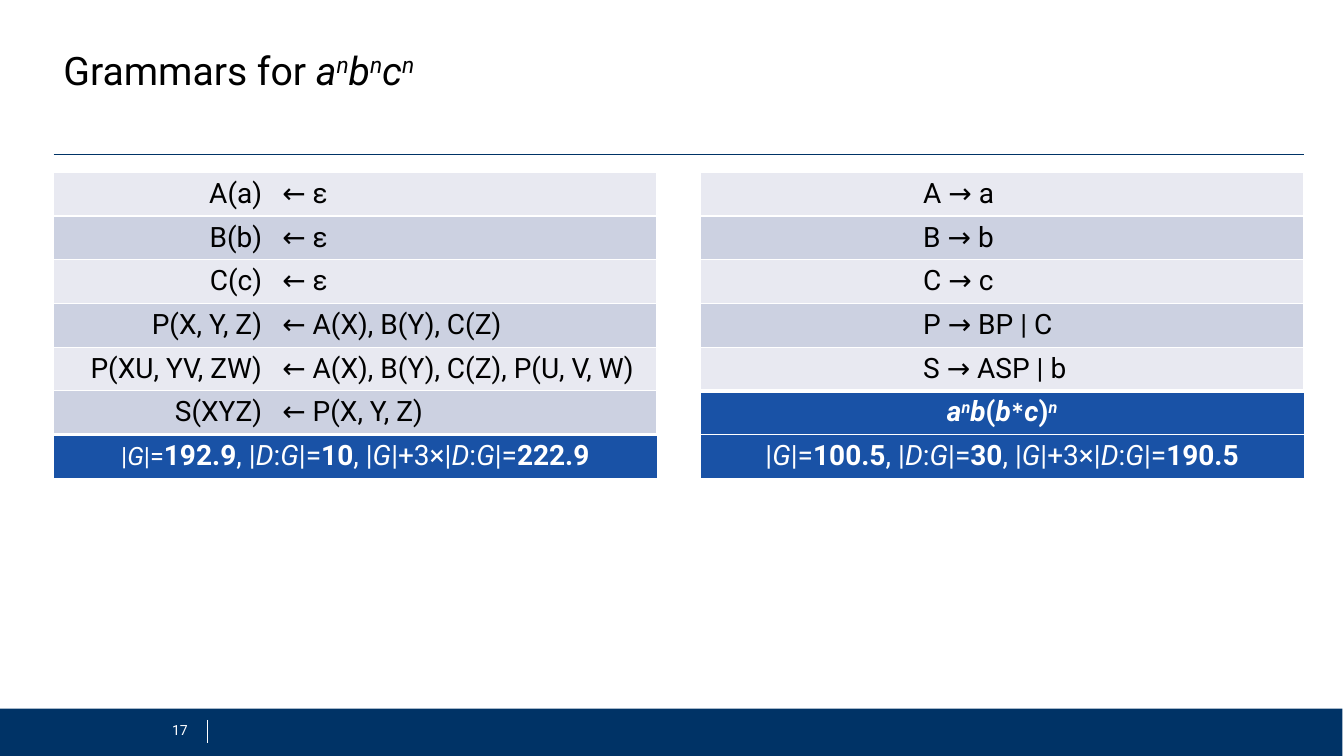
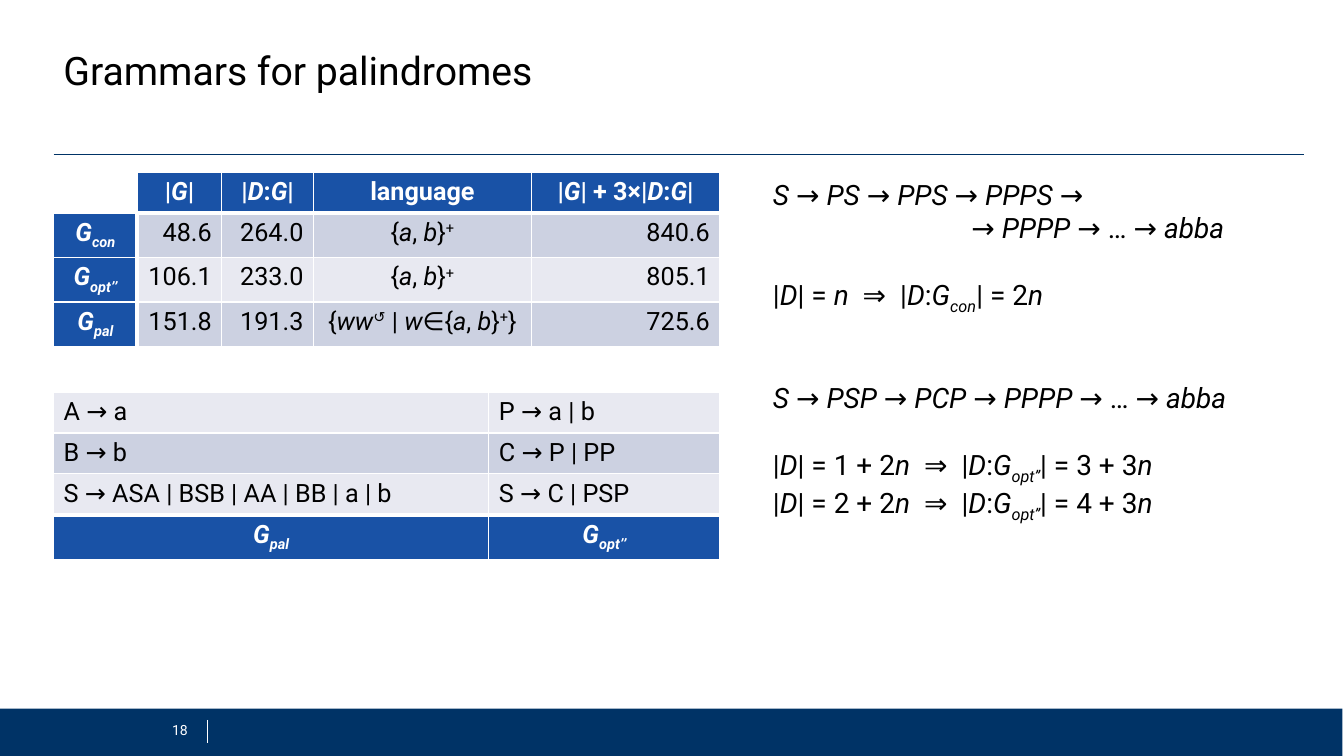
from collections import namedtuple
from itertools import groupby

from pptx import Presentation, dml, util as u
from pptx.dml import color
from pptx.enum import shapes, text
from pptx.oxml import parse_xml
from pptx.oxml.ns import nsdecls

Box = namedtuple("Box", "left top width height")

FONT = "Roboto"
NAVY, BLUE, WHITE, BLACK = "003366", "1952A6", "FFFFFF", "000000"
BANDS = ("E8E9F1", "CCD1E1")
LEFT, CENTER, RIGHT = text.PP_ALIGN.LEFT, text.PP_ALIGN.CENTER, text.PP_ALIGN.RIGHT
MARKS = {"*": "bold", "_": "italic", "^": "raised", "~": "lowered", "`": "small"}
ROW_HEIGHT = 1.03
MARGIN, CONTENT_TOP, CONTENT_WIDTH = 1.35, 4.34, 31.52
SLIDE = Box(0, 0, 33.87, 19.05)
TITLE = Box(MARGIN, 1.14, CONTENT_WIDTH, 1.4)
FOOTER = Box(0, 17.86, 33.83, 1.19)


def rgb(code):
    """Turn a hex string into a colour."""
    return color.RGBColor.from_string(code)


def cm(box):
    """Turn a box in centimetres into four lengths."""
    return [u.Cm(length) for length in box]


def add_spans(para, markup, size, colour):
    """Add runs to a paragraph, switching styles at each mark."""
    active = set()
    for is_mark, letters in groupby(markup, lambda letter: letter in MARKS or letter == "\n"):
        for piece in letters if is_mark else ["".join(letters)]:
            if piece == "\n":
                para.add_line_break()
            elif is_mark:
                active ^= {MARKS[piece]}
            else:
                span = para.add_run()
                span.text = piece
                span.font.name = FONT
                span.font.size = u.Pt(size - 2 if "small" in active else size)
                span.font.bold = "bold" in active
                span.font.italic = "italic" in active
                span.font.color.rgb = rgb(colour)
                if active & {"raised", "lowered"}:
                    baseline = "30000" if "raised" in active else "-25000"
                    span._r.get_or_add_rPr().set("baseline", baseline)


def add_text(page, box, markup, size, colour=BLACK, align=LEFT, anchor=text.MSO_ANCHOR.MIDDLE):
    """Add a text box with one paragraph and return its frame."""
    frame = page.shapes.add_textbox(*cm(box)).text_frame
    frame.word_wrap = True
    frame.vertical_anchor = anchor
    frame.paragraphs[0].alignment = align
    add_spans(frame.paragraphs[0], markup, size, colour)
    return frame


def add_line(page, start, end, colour, width):
    """Add a straight line without a shadow."""
    line = page.shapes.add_connector(shapes.MSO_CONNECTOR.STRAIGHT, *cm(start + end))
    line.line.color.rgb = rgb(colour)
    line.line.width = u.Pt(width)
    line._element.spPr.append(parse_xml(f"<a:effectLst {nsdecls('a')}/>"))


def add_title(page, box, markup):
    """Add the title with the rule below it."""
    frame = add_text(page, box, markup, 28)
    frame.paragraphs[0].line_spacing = 0.9
    rule = box.top + 2.75
    add_line(page, (box.left, rule), (box.left + box.width, rule), NAVY, 1)


def add_footer(page, box, number):
    """Add the footer band with the page number and its divider."""
    band = page.shapes.add_shape(shapes.MSO_SHAPE.RECTANGLE, *cm(box))
    band.shadow.inherit = False
    band.fill.solid()
    band.fill.fore_color.rgb = rgb(NAVY)
    band.line.fill.background()
    divider = box.left + 5.23
    add_line(page, (divider, box.top + 0.28), (divider, box.top + 0.86), WHITE, 0.25)
    number_box = Box(divider - 1.39, box.top + 0.02, 1.14, 1.02)
    add_text(page, number_box, str(number), 10, WHITE, RIGHT)


def set_borders(cell, widths):
    """Give a cell white borders (left, right, top, bottom), none where the width is 0."""
    for position, (side, width) in enumerate(zip("LRTB", widths)):
        paint = f'<a:solidFill><a:srgbClr val="{WHITE}"/></a:solidFill>' if width else "<a:noFill/>"
        border = f'<a:ln{side} {nsdecls("a")} w="{u.Pt(width)}">{paint}</a:ln{side}>'
        cell._tc.get_or_add_tcPr().insert(position, parse_xml(border))


def add_grid(page, left, top, widths, rows, aligns, size, head_rows, head_column=False, seam=1):
    """Add a banded table; a row with one cell spans all columns."""
    box = Box(left, top, sum(widths), ROW_HEIGHT * len(rows))
    frame = page.shapes.add_table(len(rows), len(widths), *cm(box))
    table = frame.table
    table.first_row = table.horz_banding = False
    for column, width in zip(table.columns, widths):
        column.width = u.Cm(width)

    def is_head(row, column):
        return row in head_rows or (head_column and column == 0)

    def edge(row, column, other_row, other_column):
        inside = 0 <= other_row < len(rows) and 0 <= other_column < len(widths)
        if inside and is_head(row, column) != is_head(other_row, other_column):
            return 3
        return seam if inside and column != other_column else 1

    for row, markups in enumerate(rows):
        table.rows[row].height = u.Cm(ROW_HEIGHT)
        if len(markups) == 1:
            table.cell(row, 0).merge(table.cell(row, len(widths) - 1))
        for column, markup in enumerate(markups):
            cell, head = table.cell(row, column), is_head(row, column)
            if head and not markup:
                cell.fill.background()
            else:
                cell.fill.solid()
                cell.fill.fore_color.rgb = rgb(BLUE if head else BANDS[row % 2])
            set_borders(cell, [edge(row, column, row + down, column + across)
                               for down, across in ((0, -1), (0, 1), (-1, 0), (1, 0))])
            para = cell.text_frame.paragraphs[0]
            para.alignment = CENTER if head else aligns[column]
            add_spans(para, markup, size, WHITE if head else BLACK)


def add_derivations(page, box, lines):
    """Add hanging paragraphs, each with its space before in points."""
    frame = add_text(page, box, lines[0][0], 20, anchor=text.MSO_ANCHOR.TOP)
    for markup, space in lines[1:]:
        para = frame.add_paragraph()
        para.space_before = u.Pt(space)
        add_spans(para, markup, 20, BLACK)
    for para in frame.paragraphs:
        layout = para._p.get_or_add_pPr()
        layout.set("marL", str(u.Cm(5)))
        layout.set("indent", str(u.Cm(-5)))


def add_page(deck, title, number):
    """Add a blank slide with title and footer."""
    page = deck.slides.add_slide(deck.slide_layouts[6])
    add_footer(page, FOOTER, number)
    add_title(page, TITLE, title)
    return page


def build_counting_page(deck):
    """Compare two grammars for the counting language."""
    page = add_page(deck, "Grammars for _a^n^b^n^c^n^_", 17)
    clauses = [
        ["A(a)", "← ε"],
        ["B(b)", "← ε"],
        ["C(c)", "← ε"],
        ["P(X, Y, Z)", "← A(X), B(Y), C(Z)"],
        ["P(XU, YV, ZW)", "← A(X), B(Y), C(Z), P(U, V, W)"],
        ["S(XYZ)", "← P(X, Y, Z)"],
        ["`|_G_|=`*192.9*, |_D_:_G_|=*10*, |_G_|+3×|_D_:_G_|=*222.9*"],
    ]
    productions = [["", rule] for rule in ("A → a", "B → b", "C → c", "P → BP | C", "S → ASP | b")]
    productions += [
        ["*_a^n^b_(_b_^∗^_c_)_^n^_*"],
        ["|_G_|=*100.5*, |_D_:_G_|=*30*, |_G_|+3×|_D_:_G_|=*190.5*"],
    ]
    aligns = (RIGHT, LEFT)
    add_grid(page, MARGIN, CONTENT_TOP, (5.51, 9.7), clauses, aligns, 20, {6}, seam=0)
    add_grid(page, 17.65, CONTENT_TOP, (5.36, 9.85), productions, aligns, 20, {5, 6}, seam=0)


def build_palindrome_page(deck):
    """Compare three grammars for palindromes."""
    page = add_page(deck, "Grammars for palindromes", 18)
    pal, opt = "*_G~pal~_*", "*_G~opt’’~_*"
    words = "{_a_, _b_}^+^"
    sizes = [
        ["", "*|_G_|*", "*|_D_:_G_|*", "*language*", "*|_G_| + 3×|_D_:_G_|*"],
        ["*_G~con~_*", "48.6", "264.0", words, "840.6"],
        [opt, "106.1", "233.0", words, "805.1"],
        [pal, "151.8", "191.3", "{_ww_^↺^ | _w_∈" + words + "}", "725.6"],
    ]
    productions = [
        ["A → a", "P → a | b"],
        ["B → b", "C → P | PP"],
        ["S → ASA | BSB | AA | BB | a | b", "S → C | PSP"],
        [pal, opt],
    ]
    add_grid(page, MARGIN, CONTENT_TOP, (2.11, 2.13, 2.31, 5.49, 4.75), sizes,
             (CENTER, RIGHT, RIGHT, CENTER, RIGHT), 18, {0}, head_column=True)
    add_grid(page, MARGIN, 9.88, (10.97, 5.82), productions, (LEFT, LEFT), 18, {3})
    add_derivations(page, Box(19.23, CONTENT_TOP, 13.64, 8.81), [
        ("_S_ → _PS_ → _PPS_ → _PPPS_ →\n→ _PPPP_ → … → _abba_", 0),
        ("|_D_| = _n_  ⇒  |_D_:_G~con~_| = 2_n_", 23.4),
        ("_S_ → _PSP_ → _PCP_ → _PPPP_ → … → _abba_", 46.8),
        ("|_D_| = 1 + 2_n_  ⇒  |_D_:_G~opt’’~_| = 3 + 3_n_", 23.4),
        ("|_D_| = 2 + 2_n_  ⇒  |_D_:_G~opt’’~_| = 4 + 3_n_", 0),
    ])


def main():
    """Build and save the deck."""
    deck = Presentation()
    deck.slide_width, deck.slide_height = u.Cm(SLIDE.width), u.Cm(SLIDE.height)
    build_counting_page(deck)
    build_palindrome_page(deck)
    deck.save("out.pptx")


if __name__ == "__main__":
    main()
